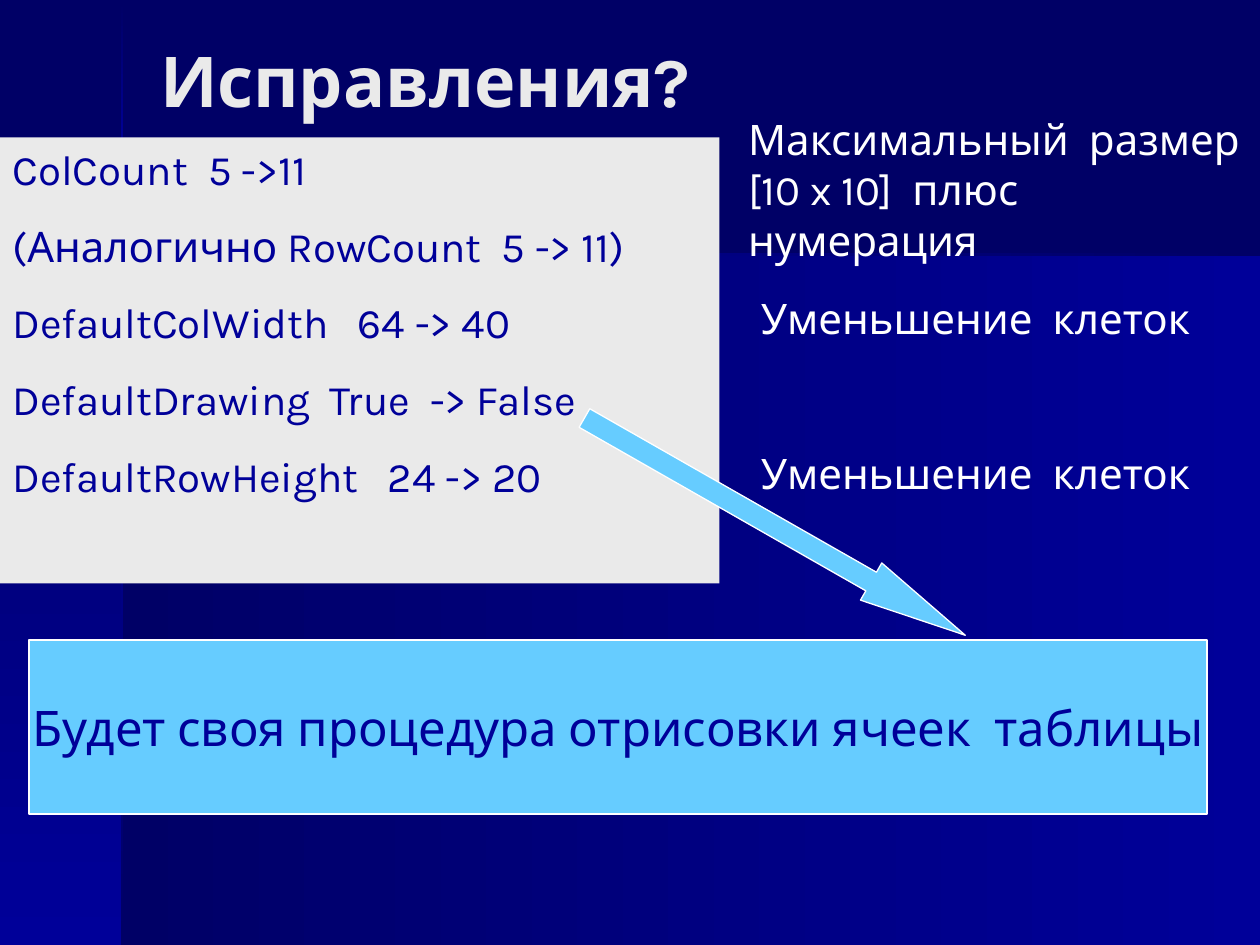
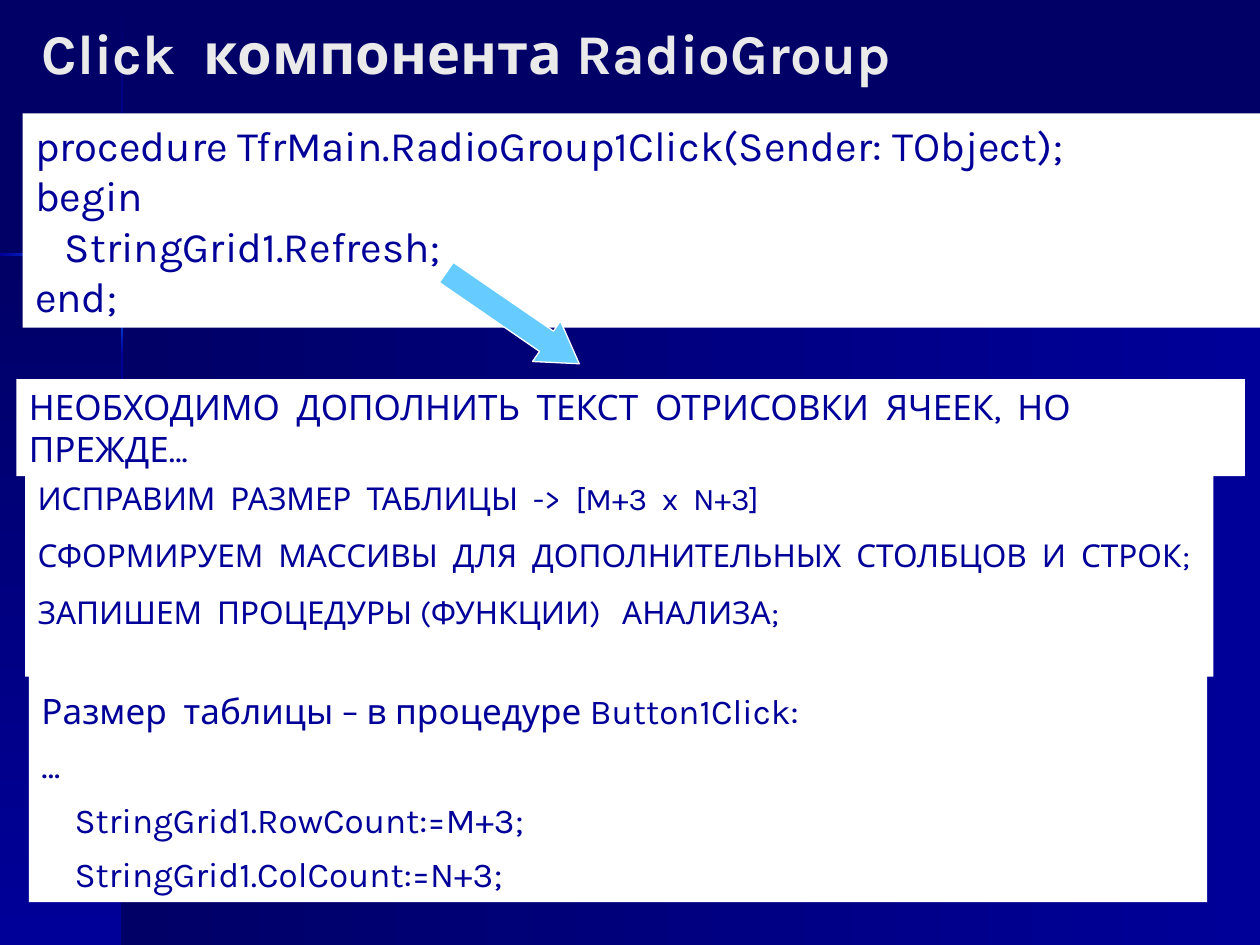
"""Builds two slides about tuning a StringGrid component."""
import pptx
import pptx.util
import pptx.dml.color
import pptx.enum.shapes
import pptx.enum.text
import lxml.etree
import pptx.oxml.ns

Inches, Pt = pptx.util.Inches, pptx.util.Pt
SHAPES = pptx.enum.shapes.MSO_SHAPE
ALIGN = pptx.enum.text.PP_ALIGN
ANCHOR = pptx.enum.text.MSO_ANCHOR

WIDTH, HEIGHT = 10, 7.5
FONT = "Karla"
COLOURS = {
    "night": "000066", "navy": "000099", "glow": "0066FF",
    "sky": "66CCFF", "mist": "EAEAEA", "white": "FFFFFF",
}
COLUMN, HORIZON, RULE = 0.97, 2.02, 0.02
EDGE = COLUMN - RULE / 2
RULE_TOP = HORIZON - RULE / 2

BACKDROP = [
    ((COLUMN, HORIZON, WIDTH - COLUMN, HEIGHT - HORIZON), "navy", "night", 180),
    ((0, HORIZON, COLUMN, HEIGHT - HORIZON), "night", "navy", 270),
    ((EDGE, 0.01, RULE, 1.21), "night", "navy", 270),
    ((EDGE, 2.82, RULE, HEIGHT - 2.82), "navy", "night", 270),
    ((1.77, RULE_TOP, WIDTH - 1.77, RULE), "night", "navy", 180),
    ((EDGE, 2.38, RULE, 0.44), "glow", "navy", 270),
    ((0, RULE_TOP, 0.61, RULE), "glow", "navy", 180),
]

SLIDES = [
    {
        "title": ("Исправления?", (1.17, 0.33, 8.25, 0.61), 40),
        "panels": [
            {"at": (0, 1.09, 5.71, 3.54), "fill": "mist", "size": 24, "before": 15,
             "tabs": {2: 2.74, 4: 2.98},
             "lines": ["ColCount  5 ->11", "(Аналогично RowCount  5 -> 11)",
                       "DefaultColWidth\t64 -> 40", "DefaultDrawing  True  -> False",
                       "DefaultRowHeight\t24 -> 20"]},
            {"at": (5.84, 0.85, 4.16, 1.3), "size": 24, "ink": "white",
             "lines": ["Максимальный  размер [10 x 10]  плюс  нумерация"]},
            *({"at": (5.94, top, 3.89, 0.5), "size": 24, "ink": "white",
               "lines": ["Уменьшение  клеток"]} for top in (2.27, 3.5)),
            {"at": (0.23, 5.08, 9.35, 1.38), "fill": "sky", "size": 28, "banner": True,
             "lines": ["Будет своя процедура отрисовки ячеек  таблицы"]},
        ],
        "arrow": (SHAPES.RIGHT_ARROW, (4.41, 4.01, 3.48, 0.34), 29.7, 2.53),
    },
    {
        "title": ("Click  компонента RadioGroup", (0.23, 0.16, 9.5, 0.51), 32),
        "panels": [
            {"at": (0.18, 0.9, 9.82, 1.7), "fill": "white", "size": 24,
             "lines": ["procedure TfrMain.RadioGroup1Click(Sender: TObject);", "begin",
                       "   StringGrid1.Refresh;", "end;"]},
            {"at": (0.13, 3.01, 9.75, 0.77), "fill": "white", "size": 20,
             "lines": ["НЕОБХОДИМО  ДОПОЛНИТЬ  ТЕКСТ  ОТРИСОВКИ  ЯЧЕЕК,  НО ПРЕЖДЕ…"]},
            {"at": (0.2, 3.75, 9.43, 1.62), "fill": "white", "size": 18, "before": 11.2,
             "tabs": {2: 4.64},
             "lines": ["ИСПРАВИМ  РАЗМЕР  ТАБЛИЦЫ  ->  [M+3  x  N+3]",
                       "СФОРМИРУЕМ  МАССИВЫ  ДЛЯ  ДОПОЛНИТЕЛЬНЫХ  СТОЛБЦОВ  И  СТРОК;",
                       "ЗАПИШЕМ  ПРОЦЕДУРЫ (ФУНКЦИИ)\tАНАЛИЗА;"]},
            {"at": (0.23, 5.32, 9.35, 1.84), "fill": "white", "size": 20, "spacing": 1.3,
             "lines": ["Размер  таблицы – в процедуре Button1Click:", "…",
                       "    StringGrid1.RowCount:=M+3;", "    StringGrid1.ColCount:=N+3;"]},
        ],
        "arrow": (SHAPES.LEFT_ARROW, (3.43, 2.33, 1.28, 0.39), 214.5, 0.81),
    },
]


def rgb(name):
    return pptx.dml.color.RGBColor.from_string(COLOURS[name])


def place(at):
    return [Inches(length) for length in at]


def add_block(slide, kind, at, fill=None, outlined=False):
    block = slide.shapes.add_shape(kind, *place(at))
    block.shadow.inherit = False
    if fill:
        block.fill.solid()
        block.fill.fore_color.rgb = rgb(fill)
    if outlined:
        block.line.color.rgb = rgb("white")
        block.line.width = Pt(0.75)
    else:
        block.line.fill.background()
    return block


def style_runs(para, size, ink, bold=False):
    for span in para.runs:
        span.font.name = FONT
        span.font.size = Pt(size)
        span.font.bold = bold
        span.font.color.rgb = rgb(ink)


def add_tab_stop(para, position):
    tag = pptx.oxml.ns.qn
    stops = lxml.etree.SubElement(para._p.get_or_add_pPr(), tag("a:tabLst"))
    lxml.etree.SubElement(stops, tag("a:tab"), pos=str(Inches(position)), algn="l")


def add_panel(slide, panel):
    banner = panel.get("banner", False)
    if "fill" in panel:
        box = add_block(slide, SHAPES.RECTANGLE, panel["at"], panel["fill"], banner)
    else:
        box = slide.shapes.add_textbox(*place(panel["at"]))
    frame = box.text_frame
    frame.text = "\n".join(panel["lines"])
    frame.word_wrap = not banner
    frame.vertical_anchor = ANCHOR.MIDDLE if banner else ANCHOR.TOP
    for index, para in enumerate(frame.paragraphs):
        if index in panel.get("tabs", {}):
            add_tab_stop(para, panel["tabs"][index])
        para.alignment = ALIGN.CENTER if banner else ALIGN.LEFT
        para.line_spacing = panel.get("spacing", 1.0)
        if index:
            para.space_before = Pt(panel.get("before", 0))
        style_runs(para, panel["size"], panel.get("ink", "navy"))


def set_title(slide, text, at, size):
    title = slide.shapes.title
    title.left, title.top, title.width, title.height = place(at)
    frame = title.text_frame
    frame.text = text
    frame.auto_size = pptx.enum.text.MSO_AUTO_SIZE.NONE
    frame.vertical_anchor = ANCHOR.MIDDLE
    frame.paragraphs[0].alignment = ALIGN.LEFT
    style_runs(frame.paragraphs[0], size, "mist", bold=True)


def add_arrow(slide, kind, at, rotation, head):
    arrow = add_block(slide, kind, at, "sky", outlined=True)
    arrow.rotation = rotation
    arrow.adjustments[0] = 0.5
    arrow.adjustments[1] = head


def build_backdrop(layout, slide):
    layout.background.fill.solid()
    layout.background.fill.fore_color.rgb = rgb("night")
    for depth, (at, start, end, angle) in enumerate(BACKDROP):
        band = add_block(slide, SHAPES.RECTANGLE, at)
        band.fill.gradient()
        band.fill.gradient_angle = angle
        for stop, name in zip(band.fill.gradient_stops, (start, end)):
            stop.color.rgb = rgb(name)
        layout.shapes._spTree.insert(2 + depth, band._element)


def main():
    deck = pptx.Presentation()
    deck.slide_width, deck.slide_height = Inches(WIDTH), Inches(HEIGHT)
    layout = deck.slide_layouts.get_by_name("Title Only")
    for number, content in enumerate(SLIDES):
        slide = deck.slides.add_slide(layout)
        if number == 0:
            build_backdrop(layout, slide)
        set_title(slide, *content["title"])
        for panel in content["panels"]:
            add_panel(slide, panel)
        add_arrow(slide, *content["arrow"])
    deck.save("out.pptx")


if __name__ == "__main__":
    main()
